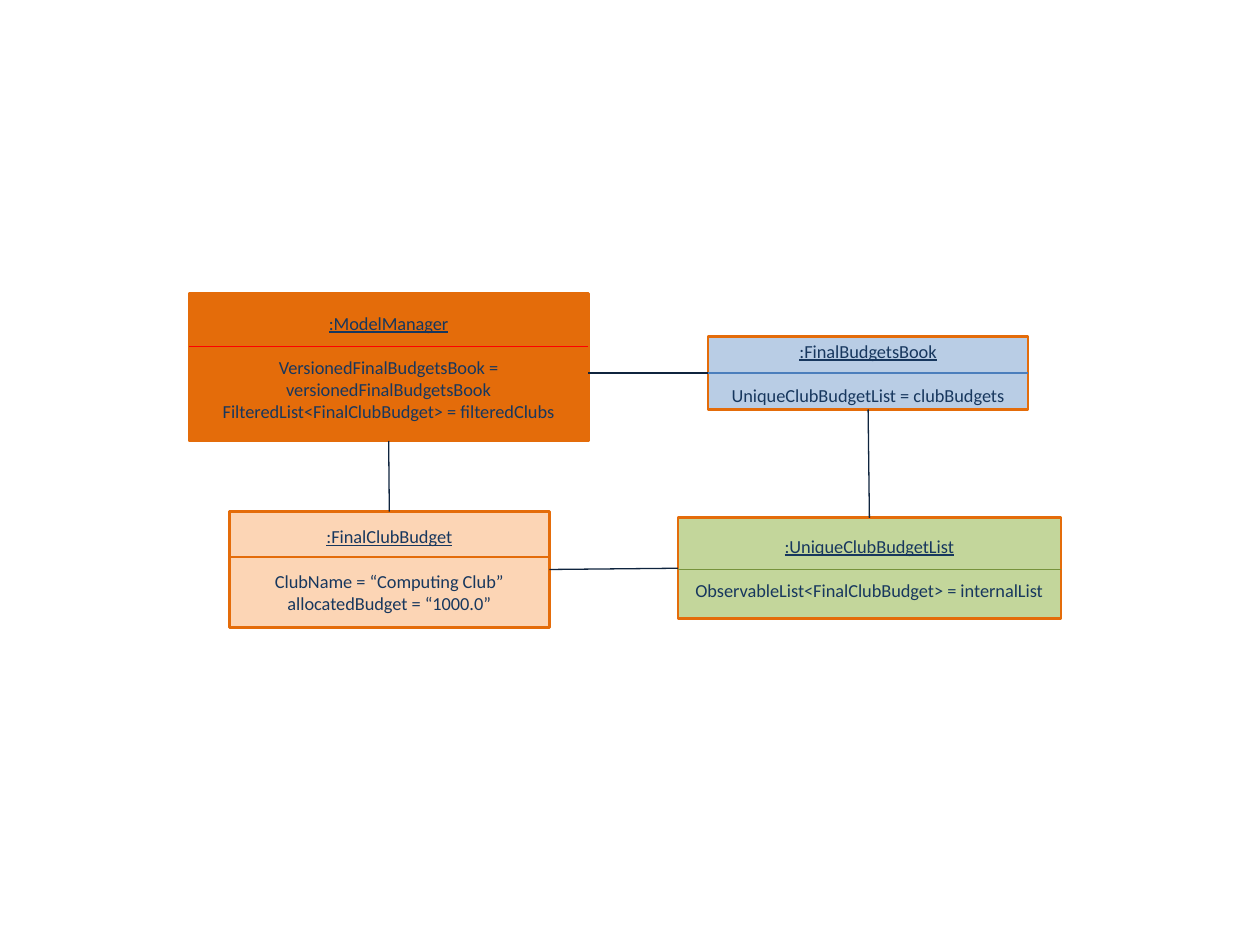
from lxml.etree import SubElement as Sub
from pptx import Presentation
from pptx.dml.color import RGBColor as RGB
from pptx.enum.shapes import MSO_CONNECTOR as Conn, MSO_SHAPE as Shape
from pptx.enum.text import MSO_ANCHOR as Anchor, PP_ALIGN as Align
from pptx.oxml.ns import qn
from pptx.util import Inches, Pt

THEME = {
    "font": "Calibri", "size": 10.5, "gap": 12.8,
    "text": "17375E", "edge": "E46C0A", "link": "0F243E",
    "border": 1.5, "thin": 0.75,
}

NODES = {
    "model": {
        "at": (1.5, 2.33, 3.17, 1.17), "fill": "E46C0A",
        "split": 2.75, "rule": "FF0000", "name": ":ModelManager",
        "rows": ["VersionedFinalBudgetsBook = versionedFinalBudgetsBook",
                 "FilteredList<FinalClubBudget> = filteredClubs"],
    },
    "book": {
        "at": (5.62, 2.67, 2.54, 0.58), "fill": "B9CDE5",
        "split": 2.96, "rule": "4B7EBC", "name": ":FinalBudgetsBook",
        "rows": ["UniqueClubBudgetList = clubBudgets"],
    },
    "list": {
        "at": (5.38, 4.11, 3.04, 0.8), "fill": "C3D69B",
        "split": 4.52, "rule": "77933C", "name": ":UniqueClubBudgetList",
        "rows": ["ObservableList<FinalClubBudget> = internalList"],
    },
    "club": {
        "at": (1.82, 4.06, 2.54, 0.92), "fill": "FCD5B5",
        "split": 4.42, "rule": "E46C0A", "name": ":FinalClubBudget",
        "rows": ["ClubName = “Computing Club”", "allocatedBudget = “1000.0”"],
    },
}

TOP, LEFT, BOTTOM, RIGHT = range(4)
LINKS = [
    ("model", BOTTOM, "club", TOP),
    ("list", LEFT, "club", RIGHT),
    ("list", TOP, "book", BOTTOM),
]


def color(key):
    return RGB.from_string(THEME.get(key, key))


def add_line(slide, start, end, tint):
    line = slide.shapes.add_connector(
        Conn.STRAIGHT, *(Inches(v) for v in (*start, *end)))
    line.line.color.rgb = color(tint)
    line.line.width = Pt(THEME["thin"])
    Sub(line._element.spPr, qn("a:effectLst"))
    return line


def add_node(slide, node):
    x, y, w, h = node["at"]
    box = slide.shapes.add_shape(
        Shape.RECTANGLE, *(Inches(v) for v in node["at"]))
    box.shadow.inherit = False
    box.fill.solid()
    box.fill.fore_color.rgb = color(node["fill"])
    box.line.color.rgb = color("edge")
    box.line.width = Pt(THEME["border"])
    frame = box.text_frame
    frame.word_wrap = True
    frame.vertical_anchor = Anchor.MIDDLE
    frame.text = "\n".join([node["name"], *node["rows"]])
    for i, para in enumerate(frame.paragraphs):
        para.alignment = Align.CENTER
        font = para.runs[0].font
        font.name = THEME["font"]
        font.size = Pt(THEME["size"])
        font.color.rgb = color("text")
        font.underline = i == 0
    frame.paragraphs[0].space_after = Pt(THEME["gap"])
    add_line(slide, (x, node["split"]), (x + w, node["split"]), node["rule"])
    return box


def main():
    deck = Presentation()
    deck.slide_width, deck.slide_height = Inches(10), Inches(7.5)
    slide = deck.slides.add_slide(deck.slide_layouts[6])
    boxes = {key: add_node(slide, node) for key, node in NODES.items()}
    for a, side, b, end in LINKS:
        link = add_line(slide, (0, 0), (0, 0), "link")
        link.begin_connect(boxes[a], side)
        link.end_connect(boxes[b], end)
    x, _, w, _ = NODES["model"]["at"]
    mid = NODES["book"]["split"]
    link = add_line(slide, (NODES["book"]["at"][0], mid), (x + w, mid), "link")
    link.begin_connect(boxes["book"], LEFT)
    deck.save("out.pptx")


if __name__ == "__main__":
    main()
